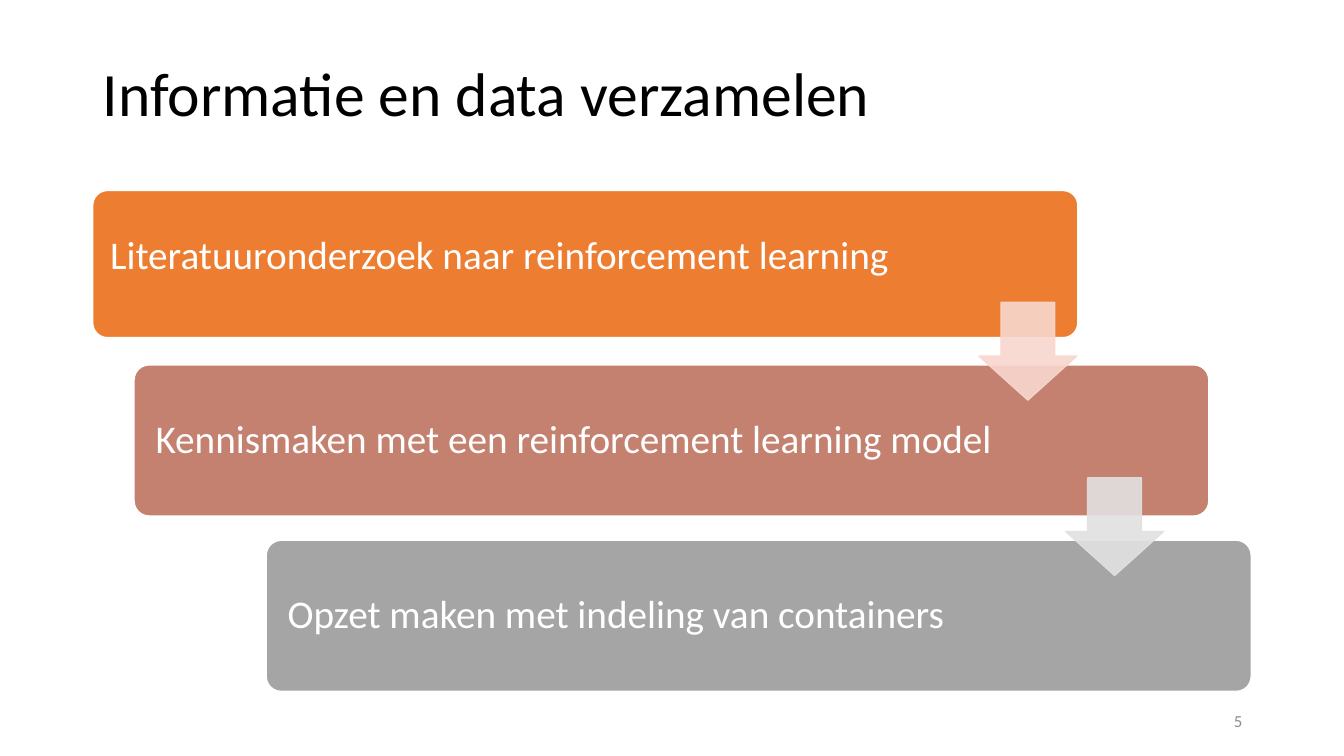
import pptx
import pptx.dml.color
import pptx.enum.shapes
import pptx.enum.text
import pptx.oxml
import pptx.oxml.ns
import pptx.util
from pptx.util import Inches

COLORS = {
    "title": "000000",
    "white": "FFFFFF",
    "orange": "ED7D31",
    "terracotta": "C48170",
    "gray": "A5A5A5",
    "peach": "F8D7CE",
    "silver": "E1E1E1",
    "number": "8C8C8C",
}
SHAPES = pptx.enum.shapes.MSO_SHAPE
ALIGN = pptx.enum.text.PP_ALIGN


class StaircaseSlide:
    """Hold the style and the current slide, and add its elements."""

    font_name = "Calibri"

    def __init__(self, presentation):
        self.slide = presentation.slides.add_slide(presentation.slide_layouts[5])

    def color(self, name):
        return pptx.dml.color.RGBColor.from_string(COLORS[name])

    def add_text(self, shape, text, size, color, align=ALIGN.LEFT, spacing=0.9):
        frame = shape.text_frame
        frame.word_wrap = True
        frame.auto_size = pptx.enum.text.MSO_AUTO_SIZE.NONE
        frame.vertical_anchor = pptx.enum.text.MSO_ANCHOR.MIDDLE
        paragraph = frame.paragraphs[0]
        paragraph.alignment = align
        paragraph.line_spacing = spacing
        run = paragraph.add_run()
        run.text = text
        run.font.name = self.font_name
        run.font.size = pptx.util.Pt(size)
        run.font.color.rgb = self.color(color)

    def title(self, text):
        shape = self.slide.shapes.title
        shape.left, shape.top = Inches(0.92), Inches(0.37)
        shape.width, shape.height = Inches(11.49), Inches(1.18)
        self.add_text(shape, text, 44, "title")

    def block(self, kind, box, adjustments, fill, line):
        shape = self.slide.shapes.add_shape(kind, *map(Inches, box))
        for index, value in enumerate(adjustments):
            shape.adjustments[index] = value
        shape.shadow.inherit = False
        shape.fill.solid()
        shape.fill.fore_color.rgb = self.color(fill)
        shape.line.color.rgb = self.color(line)
        shape.line.width = pptx.util.Pt(1)
        return shape

    def step(self, text, box, fill, margins):
        shape = self.block(SHAPES.ROUNDED_RECTANGLE, box, [0.1], fill, "white")
        frame = shape.text_frame
        frame.margin_left, frame.margin_top, frame.margin_bottom = map(Inches, margins)
        self.add_text(shape, text, 28, "white")

    def arrow(self, left, top, color):
        box = (left, top, 0.97, 0.97)
        shape = self.block(SHAPES.DOWN_ARROW, box, [0.55, 0.45], color, color)
        for element in shape.element.spPr.iter(pptx.oxml.ns.qn("a:srgbClr")):
            alpha = pptx.oxml.parse_xml(
                f'<a:alpha {pptx.oxml.ns.nsdecls("a")} val="90000"/>'
            )
            element.append(alpha)

    def number(self, text):
        box = map(Inches, (9.42, 6.95, 3, 0.4))
        shape = self.slide.shapes.add_textbox(*box)
        self.add_text(shape, text, 12, "number", ALIGN.RIGHT, 1.0)


def main():
    presentation = pptx.Presentation()
    presentation.slide_width = Inches(13.33)
    presentation.slide_height = Inches(7.5)
    slide = StaircaseSlide(presentation)
    slide.title("Informatie en data verzamelen")

    steps = [
        ("Literatuuronderzoek naar reinforcement learning",
         (0.92, 1.89, 9.77, 1.46), "orange", (0.13, 0, 0.15)),
        ("Kennismaken met een reinforcement learning model",
         (1.33, 3.62, 10.66, 1.5), "terracotta", (0.17, 0.1, 0.1)),
        ("Opzet maken met indeling van containers",
         (2.64, 5.36, 9.77, 1.5), "gray", (0.17, 0.1, 0.1)),
    ]
    for step in steps:
        slide.step(*step)
    for index, color in enumerate(("peach", "silver")):
        slide.arrow(9.71 + 0.86 * index, 3 + 1.74 * index, color)

    slide.number("5")
    presentation.save("out.pptx")


if __name__ == "__main__":
    main()
